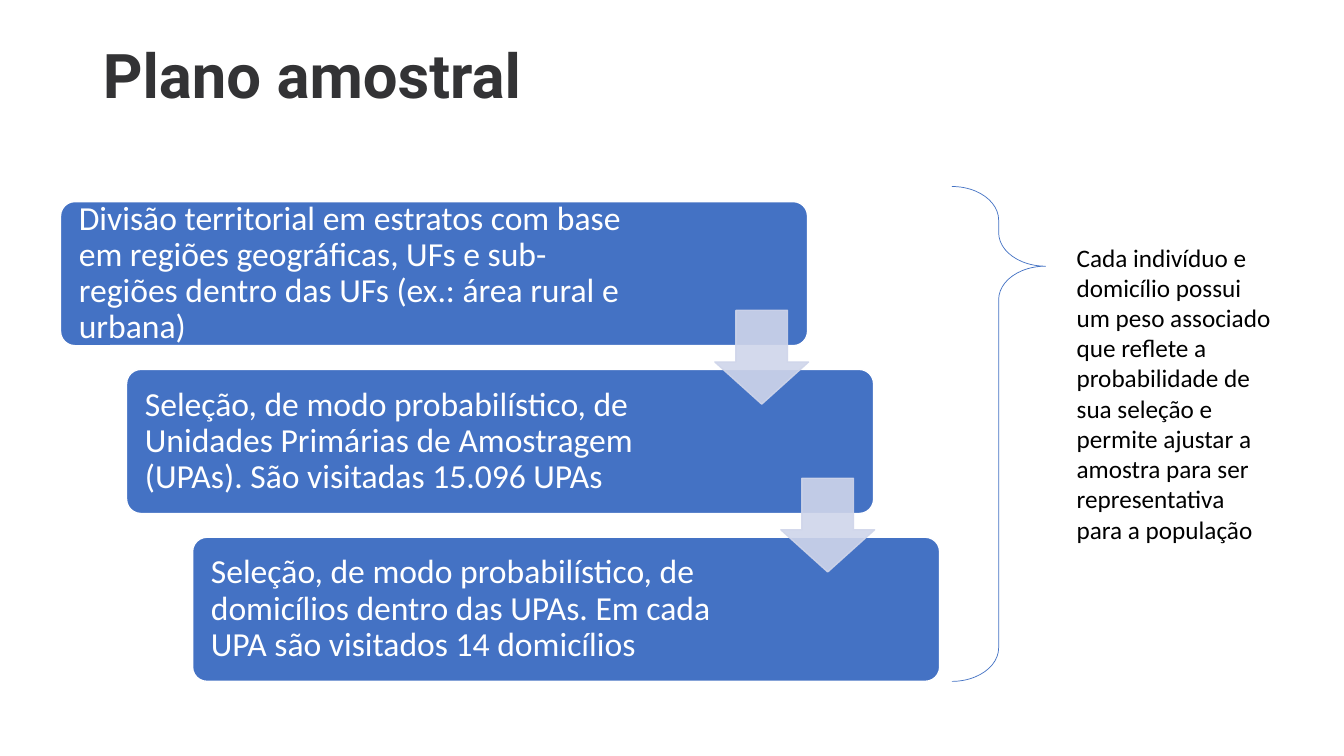
from dataclasses import dataclass

from lxml import etree
from pptx import Presentation
from pptx.dml.color import RGBColor
from pptx.enum import shapes, text
from pptx.oxml import ns
from pptx.util import Inches, Pt


@dataclass(frozen=True)
class Theme:
    heading_font: str = "Roboto"
    body_font: str = "Calibri"
    heading: RGBColor = RGBColor(0x33, 0x33, 0x35)
    accent: RGBColor = RGBColor(0x44, 0x72, 0xC4)
    pale: RGBColor = RGBColor(0xCF, 0xD5, 0xEA)
    white: RGBColor = RGBColor(0xFF, 0xFF, 0xFF)
    black: RGBColor = RGBColor(0, 0, 0)
    heading_size: int = 44
    step_size: int = 24
    note_size: int = 18


@dataclass(frozen=True)
class Step:
    wording: str
    text_width: float


THEME = Theme()
STEPS = [
    Step("Divisão territorial em estratos com base em regiões geográficas, "
         "UFs e sub-regiões dentro das UFs (ex.: área rural e urbana)", 5.67),
    Step("Seleção, de modo probabilístico, de Unidades Primárias de Amostragem "
         "(UPAs). São visitadas 15.096 UPAs", 5.55),
    Step("Seleção, de modo probabilístico, de domicílios dentro das UPAs. "
         "Em cada UPA são visitados 14 domicílios", 5.55),
]
NOTE = ("Cada indivíduo e domicílio possui um peso associado que reflete a "
        "probabilidade de sua seleção e permite ajustar a amostra para ser "
        "representativa para a população")

STEP_LEFT, STEP_TOP, STEP_WIDTH, STEP_HEIGHT = 0.6, 2.0, 7.41, 1.43
SHIFT_X, SHIFT_Y = 0.655, 1.665
ARROW_LEFT, ARROW_TOP, ARROW_SIZE = 7.09, 3.08, 0.93
STEP_INSET = 0.14


def write(frame, wording: str, font: str, size: int, color: RGBColor,
          bold: bool = False, spacing: float = 1.0) -> None:
    frame.text = wording
    frame.word_wrap = True
    paragraph = frame.paragraphs[0]
    paragraph.alignment = text.PP_ALIGN.LEFT
    paragraph.line_spacing = spacing
    run_font = paragraph.runs[0].font
    run_font.name, run_font.size, run_font.bold = font, Pt(size), bold
    run_font.color.rgb = color


def add_preset(slide, kind, left: float, top: float, width: float,
               height: float, adjustments: list[float]):
    shape = slide.shapes.add_shape(kind, Inches(left), Inches(top),
                                   Inches(width), Inches(height))
    shape.shadow.inherit = False
    for index, value in enumerate(adjustments):
        shape.adjustments[index] = value
    return shape


def add_step(slide, index: int, step: Step) -> None:
    box = add_preset(slide, shapes.MSO_SHAPE.ROUNDED_RECTANGLE,
                     STEP_LEFT + index * SHIFT_X, STEP_TOP + index * SHIFT_Y,
                     STEP_WIDTH, STEP_HEIGHT, [0.1])
    box.fill.solid()
    box.fill.fore_color.rgb = THEME.accent
    box.line.color.rgb = THEME.white
    box.line.width = Pt(1)
    frame = box.text_frame
    frame.margin_left = Inches(STEP_INSET)
    frame.margin_right = Inches(STEP_WIDTH - STEP_INSET - step.text_width)
    frame.vertical_anchor = text.MSO_ANCHOR.MIDDLE
    write(frame, step.wording, THEME.body_font, THEME.step_size, THEME.white,
          spacing=0.9)


def add_arrow(slide, index: int) -> None:
    """Draw the translucent arrow from one step to the next."""
    arrow = add_preset(slide, shapes.MSO_SHAPE.DOWN_ARROW,
                       ARROW_LEFT + index * SHIFT_X, ARROW_TOP + index * SHIFT_Y,
                       ARROW_SIZE, ARROW_SIZE, [0.55, 0.45])
    arrow.fill.solid()
    arrow.fill.fore_color.rgb = THEME.pale
    arrow.line.color.rgb = THEME.pale
    arrow.line.width = Pt(1)
    properties = arrow.element.spPr
    for color in properties.iter(ns.qn("a:srgbClr")):
        etree.SubElement(color, ns.qn("a:alpha"), val="90000")


def add_note(slide) -> None:
    brace = add_preset(slide, shapes.MSO_SHAPE.RIGHT_BRACE,
                       9.44, 1.85, 0.93, 4.91, [0.51, 0.16])
    brace.adjustments[0] = 0.358
    brace.adjustments[1] = 0.161
    brace.fill.background()
    brace.line.color.rgb = THEME.accent
    brace.line.width = Pt(0.5)
    note = slide.shapes.add_textbox(Inches(10.58), Inches(2.35),
                                    Inches(2.15), Inches(3.13))
    write(note.text_frame, NOTE, THEME.body_font, THEME.note_size, THEME.black)


def main() -> None:
    deck = Presentation()
    deck.slide_width, deck.slide_height = Inches(13.33), Inches(7.5)
    slide = deck.slides.add_slide(deck.slide_layouts[5])

    heading = slide.shapes.title
    heading.left, heading.top = Inches(0.92), Inches(0.4)
    heading.width, heading.height = Inches(11.5), Inches(1.45)
    heading.text_frame.vertical_anchor = text.MSO_ANCHOR.TOP
    write(heading.text_frame, "Plano amostral", THEME.heading_font,
          THEME.heading_size, THEME.heading, bold=True, spacing=0.9)

    for index, step in enumerate(STEPS):
        add_step(slide, index, step)
    for index in range(len(STEPS) - 1):
        add_arrow(slide, index)
    add_note(slide)
    deck.save("out.pptx")


if __name__ == "__main__":
    main()
